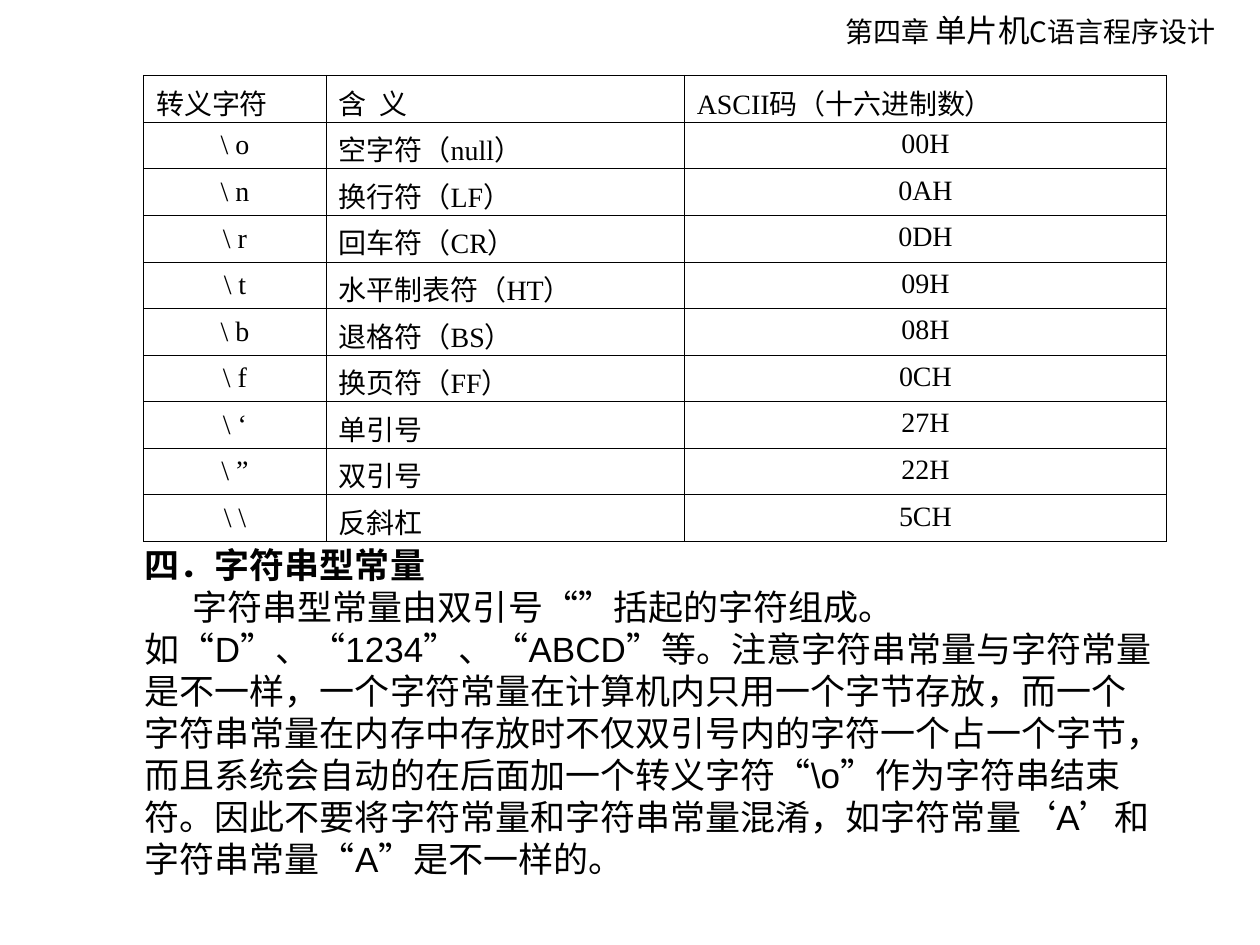
from lxml.etree import SubElement
from pptx import Presentation
from pptx.dml.color import RGBColor
from pptx.enum.text import MSO_ANCHOR as ANCHOR, MSO_AUTO_SIZE as AUTO, PP_ALIGN as ALIGN
from pptx.oxml.ns import qn
from pptx.util import Inches, Pt


def set_font(font, size, name, color="000000", bold=False):
    font.size = Pt(size)
    font.bold = bold
    font.color.rgb = RGBColor.from_string(color)
    font.name = name
    SubElement(font._rPr, qn("a:ea"), typeface="Noto Sans CJK JP")


def set_border(cell, side, width, color="000000"):
    ln = SubElement(cell._tc.get_or_add_tcPr(), qn("a:" + side), w=str(Pt(width)))
    fill = SubElement(ln, qn("a:solidFill"))
    SubElement(fill, qn("a:srgbClr"), val=color)


prs = Presentation()
prs.slide_width, prs.slide_height = Inches(10), Inches(7.5)
s = prs.slides.add_slide(prs.slide_layouts[6])

tf = s.shapes.add_textbox(Inches(6.61), Inches(0.04), Inches(3.25), Inches(0.4)).text_frame
tf.word_wrap = False
tf.auto_size = AUTO.SHAPE_TO_FIT_TEXT
tf.vertical_anchor = ANCHOR.MIDDLE
for text, size in [("第四章 ", 16), ("单片机", 18), ("C语言程序设计", 16)]:
    r = tf.paragraphs[0].add_run()
    r.text = text
    set_font(r.font, size, "Noto Sans CJK JP")

rows = [
    ("转义字符", "含  义", "ASCII码（十六进制数）"),
    ("\\ o", "空字符（null）", "00H"),
    ("\\ n", "换行符（LF）", "0AH"),
    ("\\ r", "回车符（CR）", "0DH"),
    ("\\ t", "水平制表符（HT）", "09H"),
    ("\\ b", "退格符（BS）", "08H"),
    ("\\ f", "换页符（FF）", "0CH"),
    ("\\ ‘", "单引号", "27H"),
    ("\\ ”", "双引号", "22H"),
    ("\\ \\", "反斜杠", "5CH"),
]
widths = [1.45, 2.84, 3.83]
last_row, last_col = len(rows) - 1, len(widths) - 1
table = s.shapes.add_table(len(rows), len(widths), Inches(1.14), Inches(0.6),
                           Inches(sum(widths)), Inches(0.37 * len(rows))).table
table.first_row = table.horz_banding = False
for col, width in zip(table.columns, widths):
    col.width = Inches(width)
for i, row in enumerate(rows):
    table.rows[i].height = Inches(0.37)
    for j, text in enumerate(row):
        cell = table.cell(i, j)
        cell.text = text
        cell.vertical_anchor = ANCHOR.MIDDLE if i == 0 or j == 0 else ANCHOR.TOP
        p = cell.text_frame.paragraphs[0]
        p.alignment = ALIGN.CENTER if i > 0 and j != 1 else ALIGN.LEFT
        set_font(p.font, 16, "Times New Roman")
        set_border(cell, "lnL", 0.34 if j == 0 else 0.45)
        set_border(cell, "lnR", 0.34 if j == last_col else 0.45)
        set_border(cell, "lnT", 0.96 if i == 0 else 0.45)
        set_border(cell, "lnB", 0.96 if i == last_row else 0.45)
        cell.fill.background()

tf = s.shapes.add_textbox(Inches(1.05), Inches(4.26), Inches(8.2), Inches(2.77)).text_frame
tf.word_wrap = True
tf.auto_size = AUTO.SHAPE_TO_FIT_TEXT
tf.vertical_anchor = ANCHOR.MIDDLE
p = tf.paragraphs[0]
p.text = "四．字符串型常量"
set_font(p.font, 20, "Arial", bold=True)
p = tf.add_paragraph()
p.text = (
    "字符串型常量由双引号“”括起的字符组成。如“D”、“1234”、“ABCD”等。"
    "注意字符串常量与字符常量是不一样，一个字符常量在计算机内只用一个字节存放，"
    "而一个字符串常量在内存中存放时不仅双引号内的字符一个占一个字节，"
    "而且系统会自动的在后面加一个转义字符“\\o”作为字符串结束符。"
    "因此不要将字符常量和字符串常量混淆，如字符常量‘A’和字符串常量“A”是不一样的。"
)
set_font(p.font, 20, "Arial")
p._p.get_or_add_pPr().set("indent", str(Inches(0.38)))

prs.save("out.pptx")
